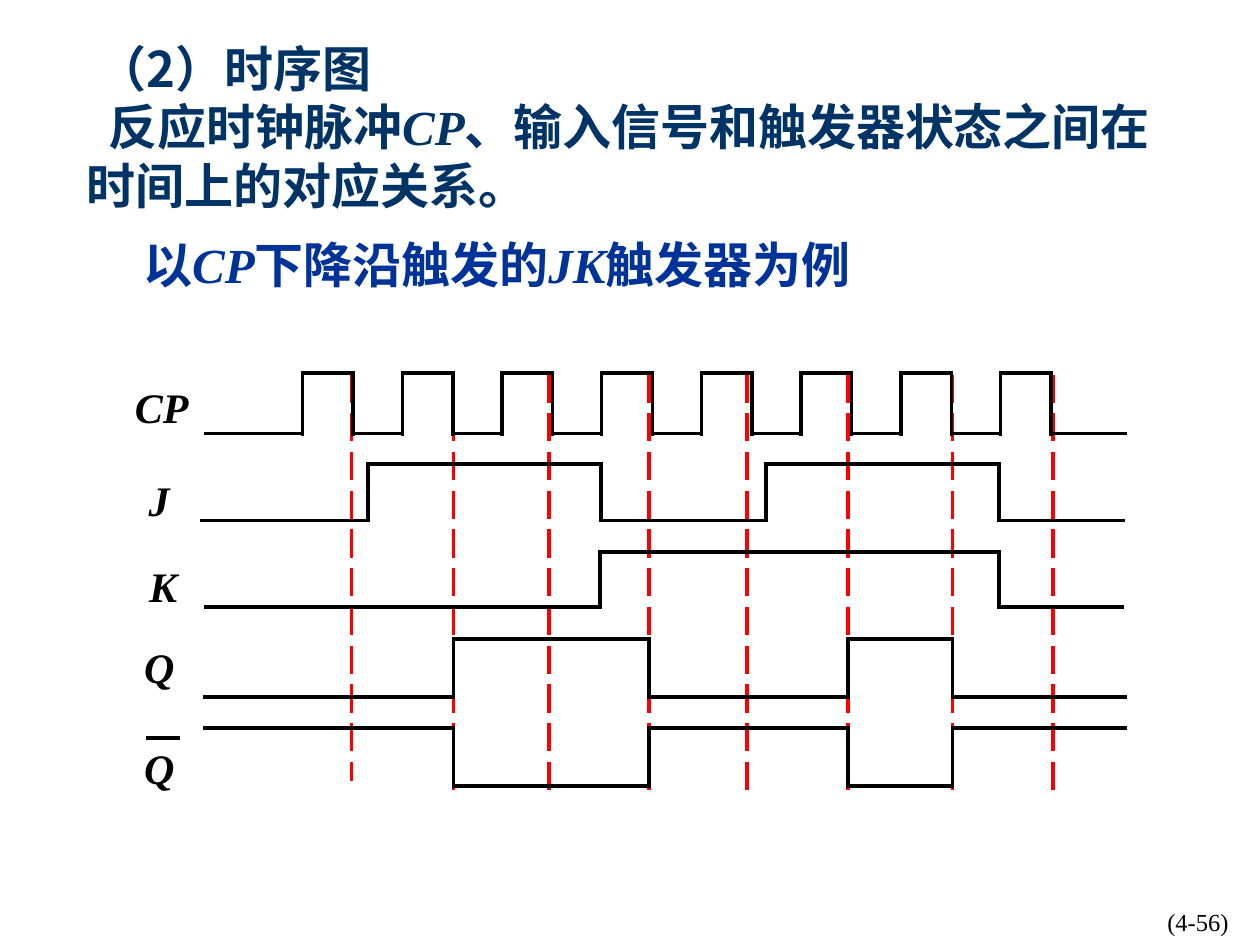
import pptx
import pptx.util
from lxml import etree
from pptx.dml.color import RGBColor
from pptx.enum.dml import MSO_LINE
from pptx.enum.shapes import MSO_CONNECTOR
from pptx.enum.text import MSO_ANCHOR, MSO_AUTO_SIZE, PP_ALIGN
from pptx.oxml.ns import qn
from pptx.util import Cm, Pt

NAVY = RGBColor(0x00, 0x33, 0x66)
BLUE = RGBColor(0x00, 0x33, 0x99)
BLACK = RGBColor(0x00, 0x00, 0x00)
RED = RGBColor(0xFF, 0x00, 0x00)
CHINESE = "Noto Sans CJK SC"
LATIN = "Times New Roman"


class TimingSlide:
    """Holds the style and the slide on which the timing diagram is drawn."""

    def __init__(self, slide):
        self.slide = slide
        self.line_width = Pt(2)
        self.heading_size = Pt(28)
        self.heading_pitch = Pt(33.5)
        self.label_size = Pt(24)
        self.corner = 0.04

    def frame(self, box, left, top, width, height, insets=(0.25, 0.13)):
        box.left, box.top, box.width, box.height = map(Cm, (left, top, width, height))
        frame = box.text_frame
        frame.word_wrap = True
        frame.auto_size = MSO_AUTO_SIZE.NONE
        frame.vertical_anchor = MSO_ANCHOR.TOP
        frame.margin_left = frame.margin_right = Cm(insets[0])
        frame.margin_top = frame.margin_bottom = Cm(insets[1])
        return frame

    def new_box(self):
        return self.slide.shapes.add_textbox(0, 0, 0, 0)

    def heading(self, paragraph, parts, color, indent=0.0):
        properties = paragraph._p.get_or_add_pPr()
        properties.set("indent", str(Cm(indent)))
        paragraph.alignment = PP_ALIGN.LEFT
        paragraph.line_spacing = self.heading_pitch
        font = paragraph.font
        font.size, font.bold, font.name = self.heading_size, True, CHINESE
        font.color.rgb = color
        defaults = properties.find(qn("a:defRPr"))
        etree.SubElement(defaults, qn("a:ea")).set("typeface", CHINESE)
        for words in parts:
            run = paragraph.add_run()
            run.text = words
            if words.isascii():
                run.font.name, run.font.italic = LATIN, True

    def label(self, words, left, top):
        frame = self.frame(self.new_box(), left, top, 1.5, 1.02, (0, 0.1))
        self.plain(frame.paragraphs[0], words, self.label_size, PP_ALIGN.CENTER, True)

    def plain(self, paragraph, words, size, alignment, emphasis=False):
        paragraph.text = words
        paragraph.alignment = alignment
        font = paragraph.font
        font.size, font.name = size, LATIN
        font.bold = font.italic = emphasis
        font.color.rgb = BLACK

    def line(self, x1, y1, x2, y2, color=BLACK, dash=None):
        connector = self.slide.shapes.add_connector(
            MSO_CONNECTOR.STRAIGHT, Cm(x1), Cm(y1), Cm(x2), Cm(y2))
        connector.line.color.rgb = color
        connector.line.width = self.line_width
        if dash:
            connector.line.dash_style = dash
        etree.SubElement(connector._element.spPr, qn("a:effectLst"))

    def waveform(self, start, end, edges, first_level, second_level):
        bounds = [start, *edges, end]
        for step, (left, right) in enumerate(zip(bounds, bounds[1:])):
            level = second_level if step % 2 else first_level
            self.line(left, level, right, level)
        top, bottom = sorted((first_level, second_level))
        for edge in edges:
            self.line(edge, top - self.corner, edge, bottom + self.corner)


def main():
    deck = pptx.Presentation()
    deck.slide_width, deck.slide_height = Cm(25.4), Cm(19.05)
    timing = TimingSlide(deck.slides.add_slide(deck.slide_layouts[5]))

    intro = timing.frame(timing.slide.shapes.title, 1.5, 0.64, 22.86, 3.81)
    timing.heading(intro.paragraphs[0], ["（2）时序图"], NAVY, 0.22)
    timing.heading(
        intro.add_paragraph(),
        ["反应时钟脉冲", "CP", "、输入信号和触发器状态之间在时间上的对应关系。"],
        NAVY, 0.44)
    example = timing.frame(timing.new_box(), 2.64, 4.6, 15.77, 1.45)
    timing.heading(
        example.paragraphs[0], ["以", "CP", "下降沿触发的", "JK", "触发器为例"], BLUE)

    falling_edges = [7.09, 9.14, 11.07, 13.08, 15.06, 17.09, 19.2, 21.23]
    for edge in falling_edges:
        bottom = 15.75 if edge == falling_edges[0] else 16.02
        timing.line(edge, 7.55, edge, bottom, RED, MSO_LINE.LONG_DASH)

    clock_edges = [6.1 + 2.01 * pulse + half
                   for pulse in range(len(falling_edges)) for half in (0, 1.02)]
    output_edges = [falling_edges[pulse] for pulse in (1, 3, 5, 6)]
    signals = [
        ("CP", 2.51, 7.59, 4.11, 22.71, clock_edges, 8.74, 7.52),
        ("J", 2.46, 9.47, 4.04, 22.68, [7.42, 12.12, 15.44, 20.14], 10.49, 9.35),
        ("K", 2.54, 11.2, 4.11, 22.66, [12.09, 20.14], 12.24, 11.13),
        ("Q", 2.46, 12.83, 4.09, 22.71, output_edges, 14.05, 12.88),
        ("Q", 2.46, 14.86, 4.09, 22.71, output_edges, 14.68, 15.85),
    ]
    for name, left, top, *wave in signals:
        timing.waveform(*wave)
        timing.label(name, left, top)
    timing.line(2.95, 14.88, 3.63, 14.88)

    page = timing.frame(timing.new_box(), 19.74, 18.16, 5.28, 1.27)
    timing.plain(page.paragraphs[0], "(4-56)", Pt(14), PP_ALIGN.RIGHT)
    deck.save("out.pptx")


if __name__ == "__main__":
    main()
